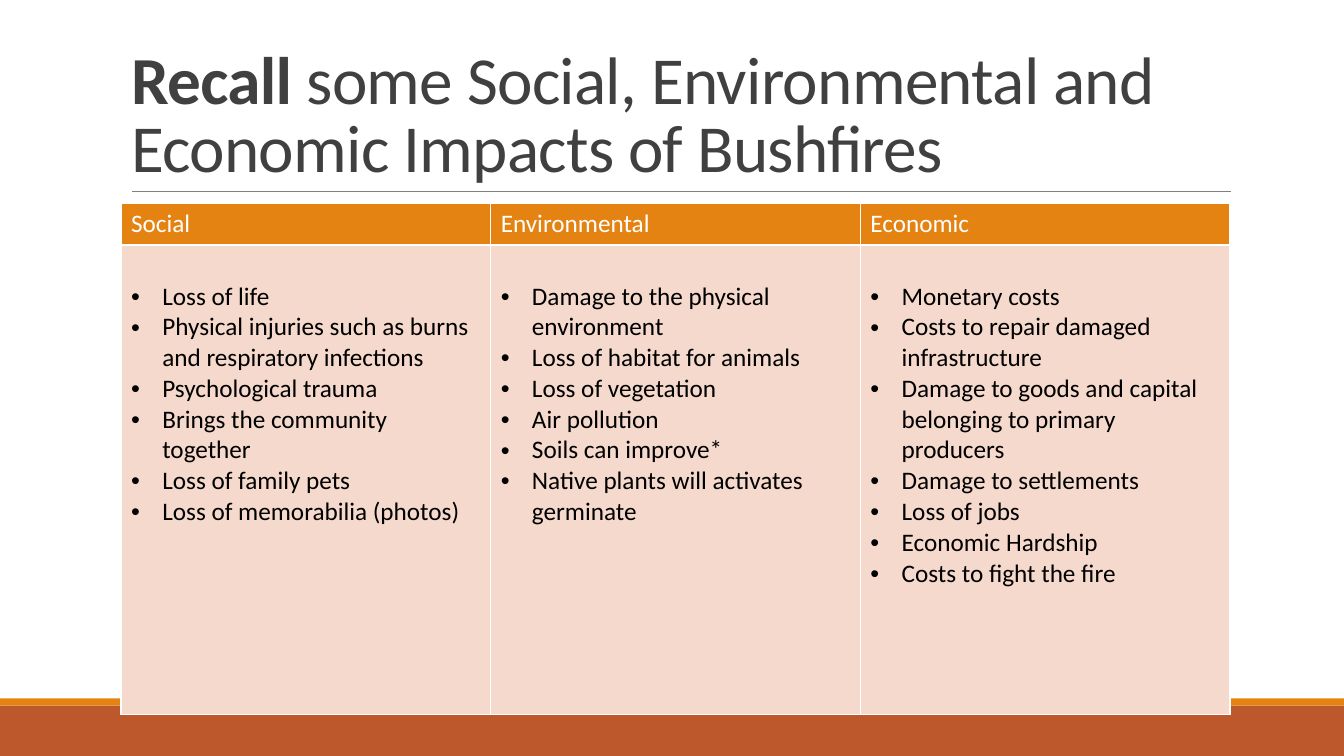
from lxml import etree
from pptx import Presentation
from pptx.dml.color import RGBColor
from pptx.enum.shapes import MSO_CONNECTOR, MSO_SHAPE
from pptx.enum.text import MSO_ANCHOR, MSO_AUTO_SIZE, PP_ALIGN
from pptx.oxml.ns import qn
from pptx.util import Inches, Pt

RECTANGLE, STRAIGHT = MSO_SHAPE.RECTANGLE, MSO_CONNECTOR.STRAIGHT
BOTTOM, LEFT, NO_FIT = MSO_ANCHOR.BOTTOM, PP_ALIGN.LEFT, MSO_AUTO_SIZE.NONE
TITLE_ONLY = 5

COLORS = {"rust": "BD582C", "orange": "E48312", "peach": "F5D9CC", "rule": "808080",
          "title": "404040", "white": "FFFFFF", "black": "000000"}

IMPACTS = {
    "Social": [
        "Loss of life",
        "Physical injuries such as burns and respiratory infections",
        "Psychological trauma",
        "Brings the community together",
        "Loss of family pets",
        "Loss of memorabilia (photos)",
    ],
    "Environmental": [
        "Damage to the physical environment",
        "Loss of habitat for animals",
        "Loss of vegetation",
        "Air pollution",
        "Soils can improve*",
        "Native plants will activates germinate",
    ],
    "Economic": [
        "Monetary costs",
        "Costs to repair damaged infrastructure",
        "Damage to goods and capital belonging to primary producers",
        "Damage to settlements",
        "Loss of jobs",
        "Economic Hardship",
        "Costs to fight the fire",
    ],
}


def color(name):
    return RGBColor.from_string(COLORS[name])


class ImpactPage:
    font_name = "Calibri"

    def __init__(self, deck):
        self.page = deck.slides.add_slide(deck.slide_layouts[TITLE_ONLY])

    def format_font(self, font, color_name, **values):
        for name, value in {"name": self.font_name, "bold": False, **values}.items():
            setattr(font, name, value)
        font.color.rgb = color(color_name)

    def band(self, top, height, color_name):
        box = self.page.shapes.add_shape(RECTANGLE, 0, Inches(top), Inches(13.33), Inches(height))
        box.shadow.inherit = False
        box.fill.solid()
        box.fill.fore_color.rgb = color(color_name)
        box.line.fill.background()

    def rule(self, left, right, top):
        line = self.page.shapes.add_connector(
            STRAIGHT, Inches(left), Inches(top), Inches(right), Inches(top))
        line.line.color.rgb = color("rule")
        line.line.width = Pt(0.5)
        etree.SubElement(line._element.spPr, qn("a:effectLst"))

    def title(self, left, top, width, height, spans):
        box = self.page.shapes.title
        place = {"left": left, "top": top, "width": width, "height": height}
        for name, value in place.items():
            setattr(box, name, Inches(value))
        frame = box.text_frame
        frame.word_wrap, frame.auto_size, frame.vertical_anchor = True, NO_FIT, BOTTOM
        para = frame.paragraphs[0]
        para.alignment, para.line_spacing = LEFT, 0.85
        for text, bold in spans:
            span = para.add_run()
            span.text = text
            self.format_font(span.font, "title", size=Pt(48), bold=bold)
            span.font._element.set("spc", "-50")

    def style_cell(self, cell, fill_name):
        cell.fill.solid()
        cell.fill.fore_color.rgb = color(fill_name)
        # Borders come before the fill in the cell properties
        properties = cell._tc.get_or_add_tcPr()
        for index, side in enumerate(("lnL", "lnR", "lnT", "lnB")):
            border = etree.Element(qn(f"a:{side}"), w=str(Pt(1)))
            fill = etree.SubElement(border, qn("a:solidFill"))
            etree.SubElement(fill, qn("a:srgbClr"), val=COLORS["white"])
            properties.insert(index, border)

    def cell_text(self, cell, lines, color_name, bulleted=False):
        frame = cell.text_frame
        for index, text in enumerate(lines):
            para = frame.add_paragraph() if index else frame.paragraphs[0]
            if bulleted:
                properties = para._p.get_or_add_pPr()
                indent = Inches(0.31)
                properties.set("marL", str(indent))
                properties.set("indent", str(-indent))
                etree.SubElement(properties, qn("a:buFont"), typeface="Arial")
                etree.SubElement(properties, qn("a:buChar"), char="•")
            span = para.add_run()
            span.text = text
            self.format_font(span.font, color_name, size=Pt(18))

    def table(self, left, top, width, row_heights, columns):
        table = self.page.shapes.add_table(
            len(row_heights), len(columns), Inches(left), Inches(top),
            Inches(width), Inches(sum(row_heights))).table
        table.first_row = table.horz_banding = False
        for row, height in zip(table.rows, row_heights):
            row.height = Inches(height)
        for index, (heading, items) in enumerate(columns.items()):
            header, body = table.cell(0, index), table.cell(1, index)
            self.style_cell(header, "orange")
            self.cell_text(header, [heading], "white")
            self.style_cell(body, "peach")
            body.margin_top = Inches(0.36)
            self.cell_text(body, items, "black", bulleted=True)


def main():
    deck = Presentation()
    deck.slide_width, deck.slide_height = Inches(13.33), Inches(7.5)
    page = ImpactPage(deck)

    # Footer bands and the rule under the title
    page.band(7, 0.5, "rust")
    page.band(6.93, 0.07, "orange")
    page.rule(1.31, 12.21, 1.9)

    # Title
    page.title(1.2, 0.31, 11, 1.59, [
        ("Recall", True),
        (" some Social, Environmental and Economic Impacts of Bushfires", False),
    ])

    # Impacts by category
    page.table(1.2, 2.02, 11, [0.41, 4.66], IMPACTS)

    deck.save("out.pptx")


if __name__ == "__main__":
    main()
